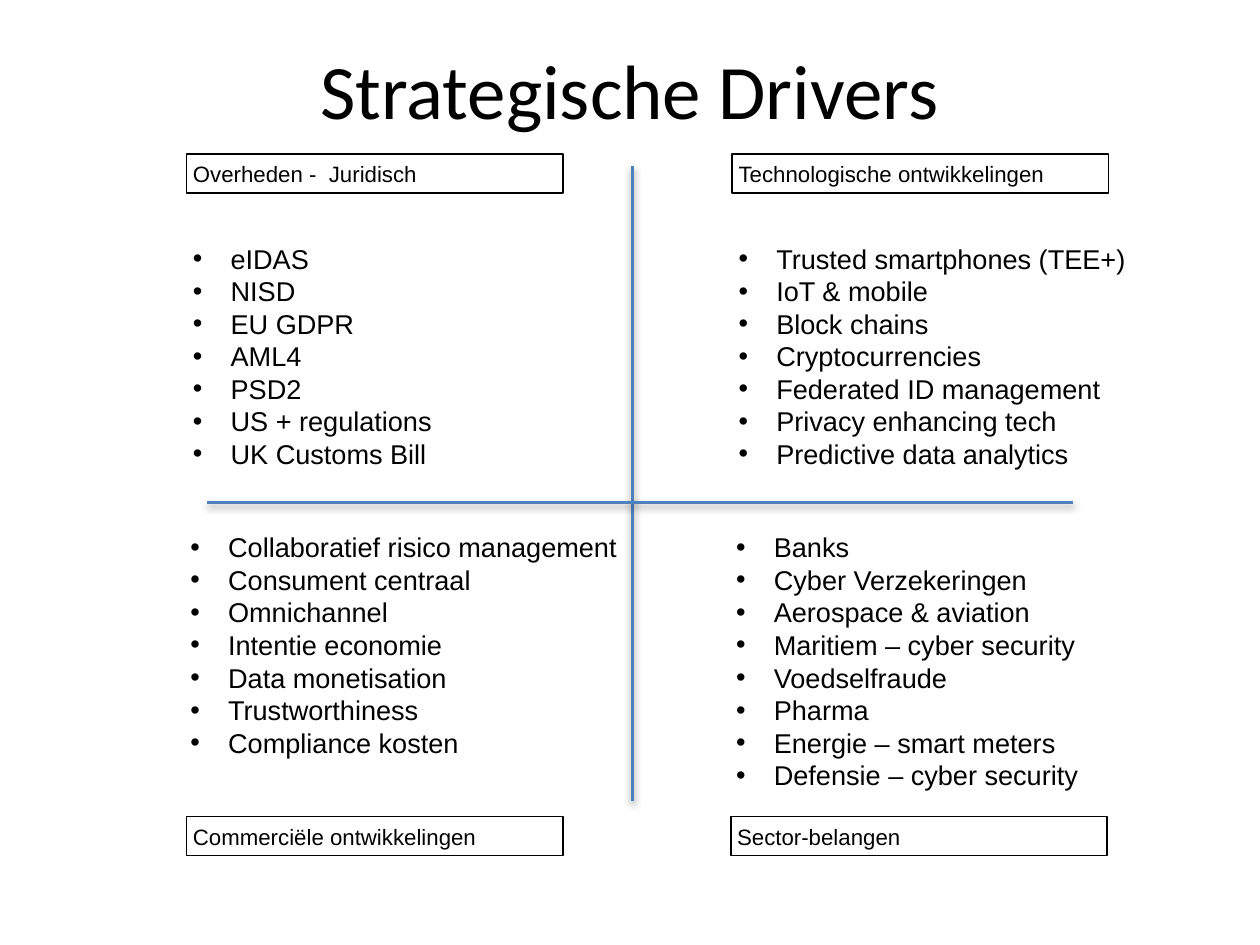
import pptx
import pptx.dml.color
import pptx.enum.shapes
import pptx.enum.text
import pptx.oxml
import pptx.oxml.ns
import pptx.util
from pptx.util import Cm

BLACK = "000000"
BLUE = "4F81BD"
INSET = Cm(0.13)
INDENT = Cm(0.76)

LABELS = [
    ("Overheden -  Juridisch", 3.76, 3.1),
    ("Commerciële ontwikkelingen", 3.76, 16.46),
    ("Sector-belangen", 14.73, 16.46),
    ("Technologische ontwikkelingen", 14.76, 3.1),
]

DRIVERS = [
    ((3.76, 4.75, 7.59, 4.88), [
        "eIDAS", "NISD", "EU GDPR", "AML4", "PSD2",
        "US + regulations", "UK Customs Bill"]),
    ((14.76, 4.75, 8.79, 4.88), [
        "Trusted smartphones (TEE+)", "IoT & mobile", "Block chains",
        "Cryptocurrencies", "Federated ID management",
        "Privacy enhancing tech", "Predictive data analytics"]),
    ((3.71, 10.57, 9.02, 4.88), [
        "Collaboratief risico management", "Consument centraal",
        "Omnichannel", "Intentie economie", "Data monetisation",
        "Trustworthiness", "Compliance kosten"]),
    ((14.71, 10.57, 9.02, 5.54), [
        "Banks", "Cyber Verzekeringen", "Aerospace & aviation",
        "Maritiem – cyber security", "Voedselfraude", "Pharma",
        "Energie – smart meters", "Defensie – cyber security"]),
]


def color(value):
    return pptx.dml.color.RGBColor.from_string(value)


def add_span(para, text, size, font="Arial"):
    span = para.add_run()
    span.text = text
    span.font.size = pptx.util.Pt(size)
    span.font.name = font
    span.font.color.rgb = color(BLACK)


def set_frame(frame):
    frame.word_wrap = True
    frame.auto_size = pptx.enum.text.MSO_AUTO_SIZE.SHAPE_TO_FIT_TEXT
    frame.margin_left = frame.margin_right = INSET
    frame.margin_top = frame.margin_bottom = INSET


def add_title(page, text):
    box = page.shapes.add_textbox(Cm(1.85), Cm(0.46), Cm(21.69), Cm(2.64))
    frame = box.text_frame
    frame.word_wrap = True
    frame.vertical_anchor = pptx.enum.text.MSO_ANCHOR.MIDDLE
    para = frame.paragraphs[0]
    para.alignment = pptx.enum.text.PP_ALIGN.CENTER
    add_span(para, text, 44, "Calibri")


def add_axis(page, *ends):
    axis = page.shapes.add_connector(
        pptx.enum.shapes.MSO_CONNECTOR.STRAIGHT, *map(Cm, ends))
    axis.line.color.rgb = color(BLUE)
    axis.line.width = pptx.util.Pt(2)
    axis._element.spPr.append(pptx.oxml.parse_xml(
        f'<a:effectLst {pptx.oxml.ns.nsdecls("a")}>'
        '<a:outerShdw blurRad="50800" dist="25400" dir="5400000" rotWithShape="0">'
        f'<a:srgbClr val="{BLACK}"><a:alpha val="38000"/></a:srgbClr>'
        '</a:outerShdw></a:effectLst>'))


def add_label(page, text, left, top):
    box = page.shapes.add_shape(
        pptx.enum.shapes.MSO_SHAPE.RECTANGLE, Cm(left), Cm(top), Cm(7.59), Cm(0.79))
    box.shadow.inherit = False
    box.fill.background()
    box.line.color.rgb = color(BLACK)
    box.line.width = pptx.util.Pt(1)
    set_frame(box.text_frame)
    box.text_frame.vertical_anchor = pptx.enum.text.MSO_ANCHOR.TOP
    para = box.text_frame.paragraphs[0]
    para.alignment = pptx.enum.text.PP_ALIGN.LEFT
    add_span(para, text, 12.7)


def add_bullet(para):
    properties = para._p.get_or_add_pPr()
    properties.set("marL", str(INDENT))
    properties.set("indent", str(-INDENT))
    namespace = pptx.oxml.ns.nsdecls("a")
    for tag in ('buFont typeface="Arial"', 'buChar char="•"'):
        name, attribute = tag.split(" ")
        properties.append(pptx.oxml.parse_xml(f"<a:{name} {namespace} {attribute}/>"))


def add_list(page, place, items):
    frame = page.shapes.add_textbox(*map(Cm, place)).text_frame
    set_frame(frame)
    for index, item in enumerate(items):
        para = frame.add_paragraph() if index else frame.paragraphs[0]
        add_bullet(para)
        add_span(para, item, 15.5)


def main():
    deck = pptx.Presentation()
    deck.slide_width, deck.slide_height = Cm(25.4), Cm(19.05)
    page = deck.slides.add_slide(deck.slide_layouts[6])
    add_title(page, "Strategische Drivers")
    add_axis(page, 12.75, 3.35, 12.75, 16.15)
    add_axis(page, 21.64, 10.13, 4.17, 10.13)
    for label in LABELS:
        add_label(page, *label)
    for place, items in DRIVERS:
        add_list(page, place, items)
    deck.save("out.pptx")


if __name__ == "__main__":
    main()
